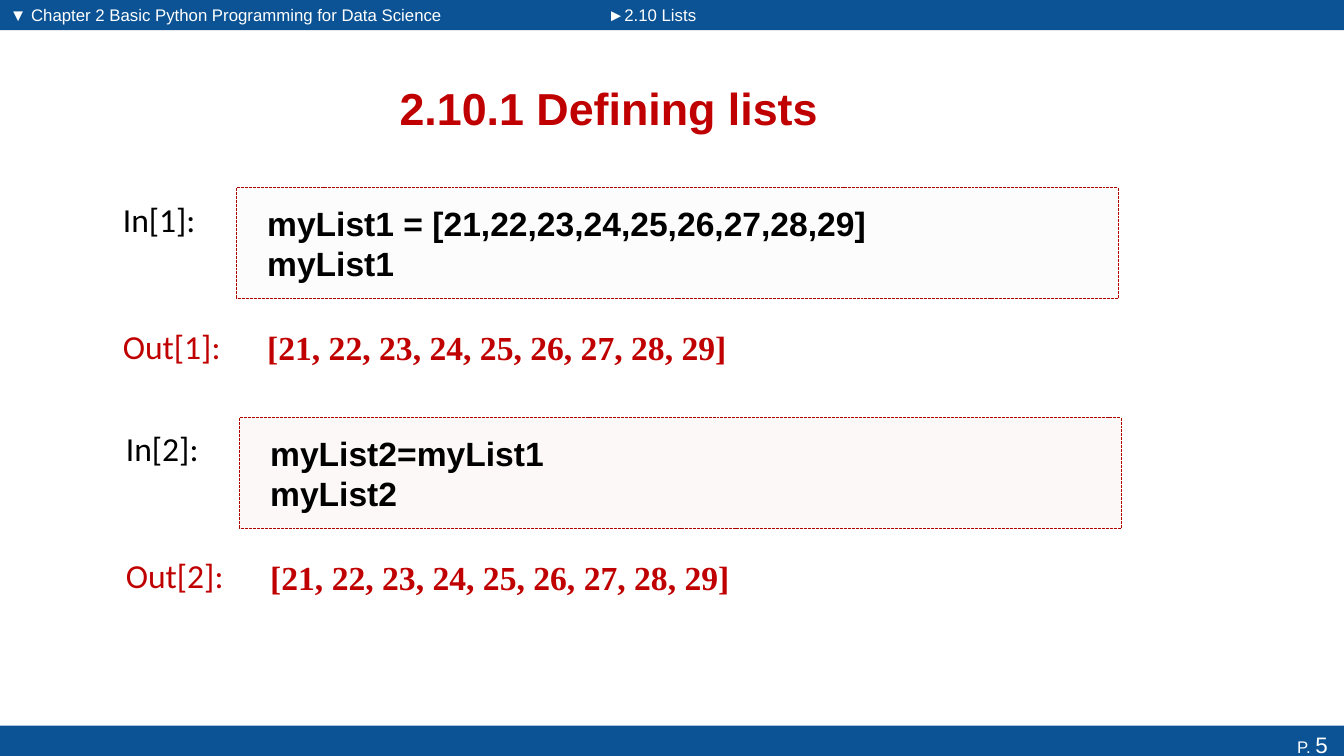
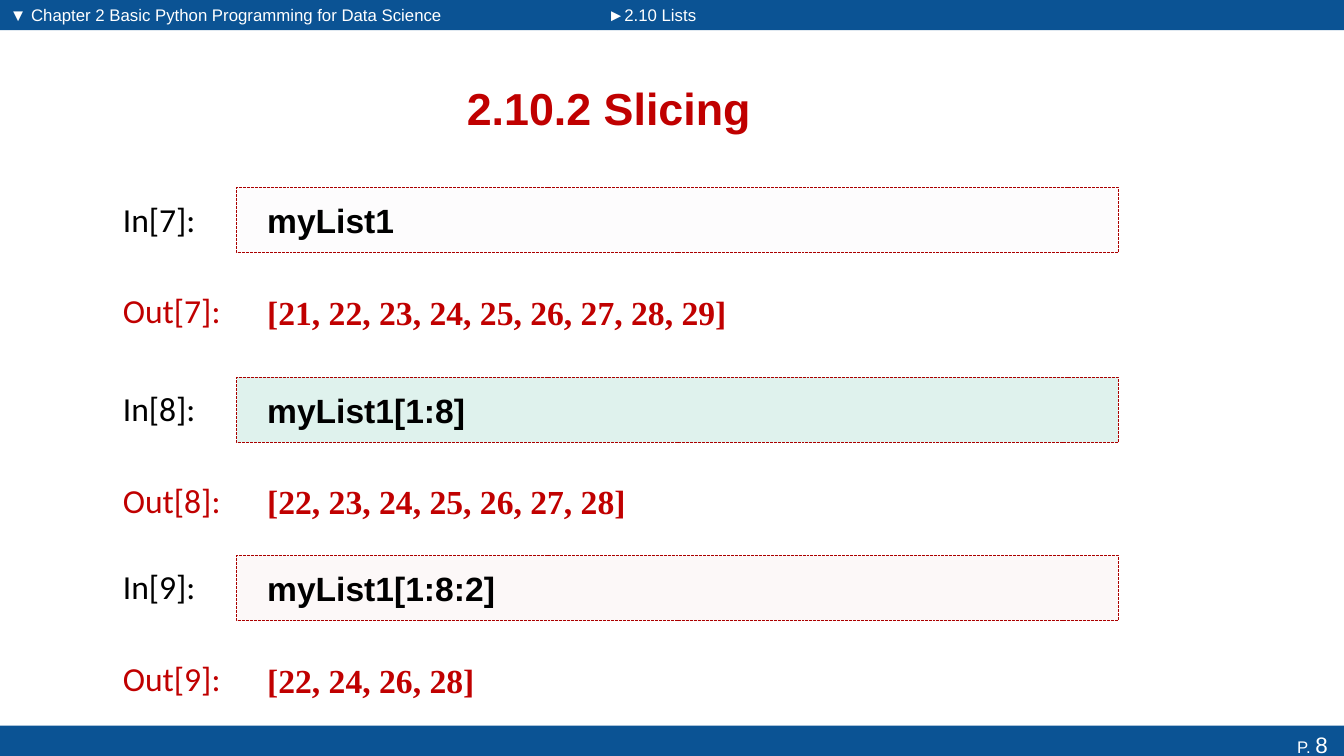
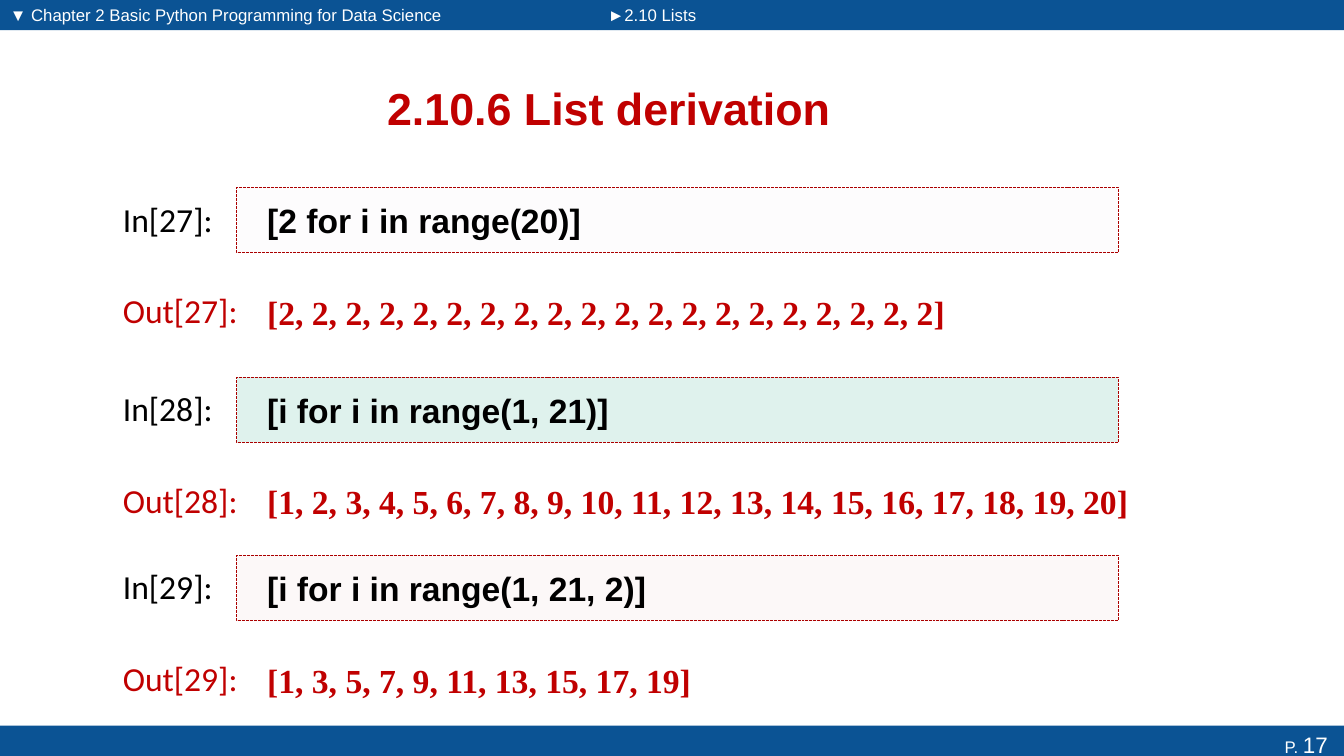
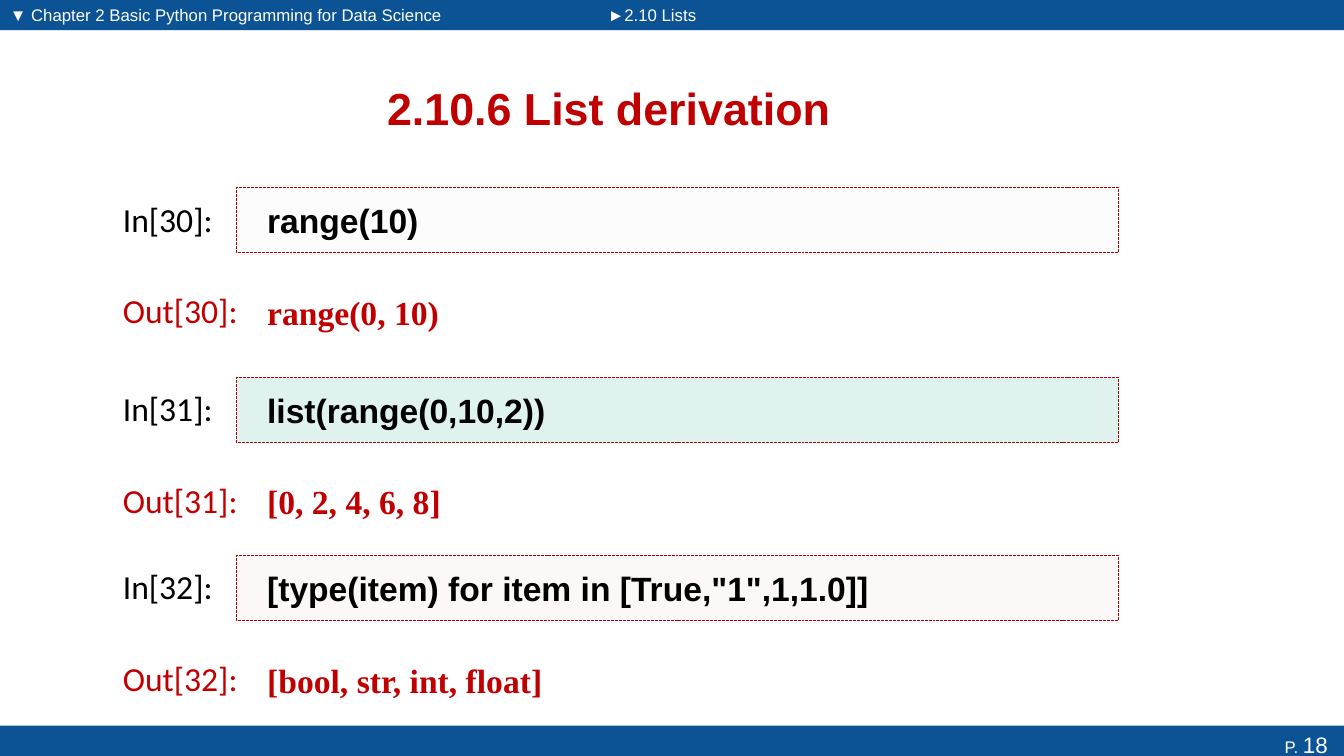
import dataclasses

import lxml.etree
import pptx
import pptx.dml.color
import pptx.enum.dml
import pptx.enum.shapes
import pptx.enum.text
import pptx.oxml.ns
import pptx.util

PX = 9144
ALIGN = pptx.enum.text.PP_ALIGN
MIDDLE = pptx.enum.text.MSO_ANCHOR.MIDDLE
TOP = pptx.enum.text.MSO_ANCHOR.TOP
RECT = pptx.enum.shapes.MSO_SHAPE.RECTANGLE


@dataclasses.dataclass(frozen=True)
class Style:
    """Font, size, colour and weight of one kind of text."""
    font: str
    size: int
    color: str
    bold: bool = False


@dataclasses.dataclass(frozen=True)
class Theme:
    """Colours and text styles of the whole deck."""
    band: str = "0B5394"
    edge: str = "AB0000"
    fills: tuple = ("F1EEF4", "0C9B74", "EDCDCB")
    alpha: int = 13
    title: Style = Style("Arial", 32, "C00000", True)
    code: Style = Style("Arial", 24, "000000", True)
    result: Style = Style("Times New Roman", 24, "C00000", True)
    ask: Style = Style("Calibri", 24, "000000")
    reply: Style = Style("Calibri", 24, "C00000")
    small: Style = Style("Arial", 12, "FFFFFF")
    page: Style = Style("Arial", 16, "FFFFFF")


THEME = Theme()
WIDTH, HEIGHT = 1333, 750
SPLIT = 593
CHAPTER = "▼ Chapter 2 Basic Python Programming for Data Science"
SECTION = "►2.10 Lists"
LONG = "[21, 22, 23, 24, 25, 26, 27, 28, 29]"
ROWS = ((112, 186, 0), (112, 374, 1), (112, 551, 2))
PAIR = ((112, 186, 0), (115, 414, 2))

DECK = (
    (5, "2.10.1 Defining lists", 1, PAIR, (
        ("myList1 = [21,22,23,24,25,26,27,28,29]\nmyList1", LONG),
        ("myList2=myList1\nmyList2", LONG))),
    (8, "2.10.2 Slicing", 7, ROWS, (
        ("myList1", LONG),
        ("myList1[1:8]", "[22, 23, 24, 25, 26, 27, 28]"),
        ("myList1[1:8:2]", "[22, 24, 26, 28]"))),
    (17, "2.10.6 List derivation", 27, ROWS, (
        ("[2 for i in range(20)]",
         "[2, 2, 2, 2, 2, 2, 2, 2, 2, 2, 2, 2, 2, 2, 2, 2, 2, 2, 2, 2]"),
        ("[i for i in range(1, 21)]",
         "[1, 2, 3, 4, 5, 6, 7, 8, 9, 10, 11, 12, 13, 14, 15, 16, 17, 18, 19, 20]"),
        ("[i for i in range(1, 21, 2)]", "[1, 3, 5, 7, 9, 11, 13, 15, 17, 19]"))),
    (18, "2.10.6 List derivation", 30, ROWS, (
        ("range(10)", "range(0, 10)"),
        ("list(range(0,10,2))", "[0, 2, 4, 6, 8]"),
        ('[type(item) for item in [True,"1",1,1.0]]', "[bool, str, int, float]"))),
)


def scale(*sizes):
    """Turn px into EMU."""
    return [size * PX for size in sizes]


def rgb(code):
    """Give a colour from its hex code."""
    return pptx.dml.color.RGBColor.from_string(code)


def dress(run, style):
    """Format one run."""
    run.font.name = style.font
    run.font.size = pptx.util.Pt(style.size)
    run.font.bold = style.bold
    run.font.color.rgb = rgb(style.color)


def write(shape, text, style, align=ALIGN.LEFT, anchor=TOP, left=10):
    """Fill a shape with text in one style."""
    frame = shape.text_frame
    frame.text = text
    frame.word_wrap = True
    frame.auto_size = pptx.enum.text.MSO_AUTO_SIZE.NONE
    frame.vertical_anchor = anchor
    frame.margin_left = left * PX
    for para in frame.paragraphs:
        para.alignment = align
        for run in para.runs:
            dress(run, style)


def label(shapes, box, text, style, **opts):
    """Add a text box."""
    write(shapes.add_textbox(*scale(*box)), text, style, **opts)


def block(shapes, box, color):
    """Add a plain filled rectangle."""
    shape = shapes.add_shape(RECT, *scale(*box))
    shape.shadow.inherit = False
    shape.fill.solid()
    shape.fill.fore_color.rgb = rgb(color)
    shape.line.fill.background()
    return shape


def header(slide, box):
    """Draw the two top bands with chapter and section."""
    x, y, w, h = box
    for left, wide, text in ((x, SPLIT, CHAPTER), (x + SPLIT, w - SPLIT, SECTION)):
        area = (left, y, wide, h)
        block(slide.shapes, area, THEME.band)
        label(slide.shapes, area, text, THEME.small)


def footer(slide, box, page):
    """Draw the bottom band with the page number."""
    band = block(slide.shapes, box, THEME.band)
    write(band, "P. ", THEME.small, align=ALIGN.RIGHT)
    band.text_frame.margin_right = 16 * PX
    run = band.text_frame.paragraphs[0].add_run()
    run.text = str(page)
    dress(run, THEME.page)


def heading(slide, box, text):
    """Place and fill the title."""
    title = slide.shapes.title
    title.left, title.top, title.width, title.height = scale(*box)
    write(title, text, THEME.title, align=ALIGN.CENTER, anchor=MIDDLE)


def frame(shapes, box, text, color):
    """Draw the tinted, dashed box that holds code."""
    shape = block(shapes, box, color)
    tint = shape.fill._xPr.find(".//" + pptx.oxml.ns.qn("a:srgbClr"))
    alpha = lxml.etree.SubElement(tint, pptx.oxml.ns.qn("a:alpha"))
    alpha.set("val", str(THEME.alpha * 1000))
    shape.line.color.rgb = rgb(THEME.edge)
    shape.line.width = pptx.util.Pt(0.7)
    shape.line.dash_style = pptx.enum.dml.MSO_LINE.SQUARE_DOT
    write(shape, text, THEME.code, anchor=MIDDLE, left=30)


def cell(slide, box, number, code, result, color):
    """Group one input with its output."""
    x, y, w = box
    lines = code.count("\n") + 1
    lower = y + 56 + 35 * lines
    inner = x + 123
    shapes = slide.shapes.add_group_shape().shapes
    label(shapes, (x, y + 6, 123, 50), f"In[{number}]:", THEME.ask)
    frame(shapes, (inner, y, w - 154, 20 + 45 * lines), code, color)
    label(shapes, (x, lower + 6, 146, 50), f"Out[{number}]:", THEME.reply)
    label(shapes, (inner, lower, w - 123, 65), result, THEME.result,
          anchor=MIDDLE, left=30)


def build(deck, page, title, first, spots, cells):
    """Build one slide of code cells."""
    slide = deck.slides.add_slide(deck.slide_layouts[5])
    header(slide, (0, 0, WIDTH, 30))
    footer(slide, (0, 720, WIDTH, 37), page)
    heading(slide, (68, 62, 1072, 90), title)
    for step, ((x, y, tone), (code, result)) in enumerate(zip(spots, cells)):
        cell(slide, (x, y, 1028), first + step, code, result, THEME.fills[tone])


def main():
    """Build and save the deck."""
    deck = pptx.Presentation()
    deck.slide_width, deck.slide_height = scale(WIDTH, HEIGHT)
    for entry in DECK:
        build(deck, *entry)
    deck.save("out.pptx")


if __name__ == "__main__":
    main()
